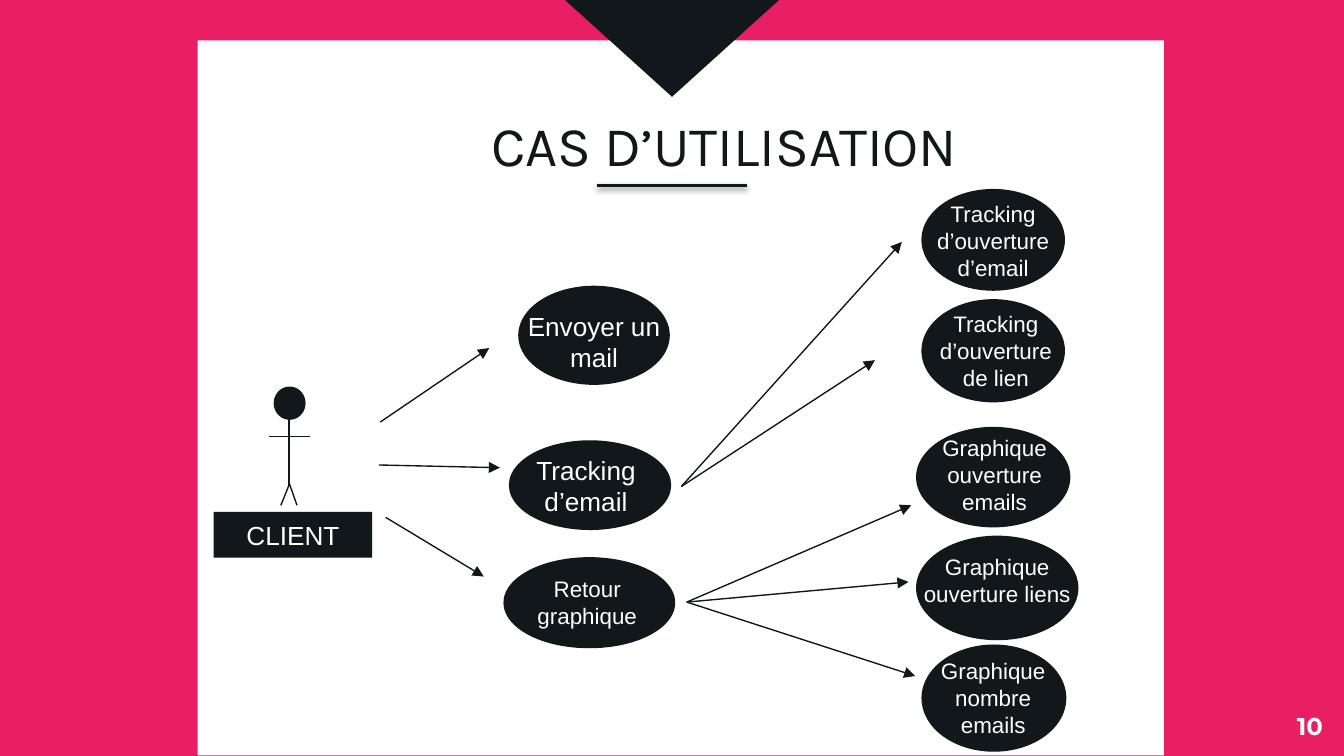
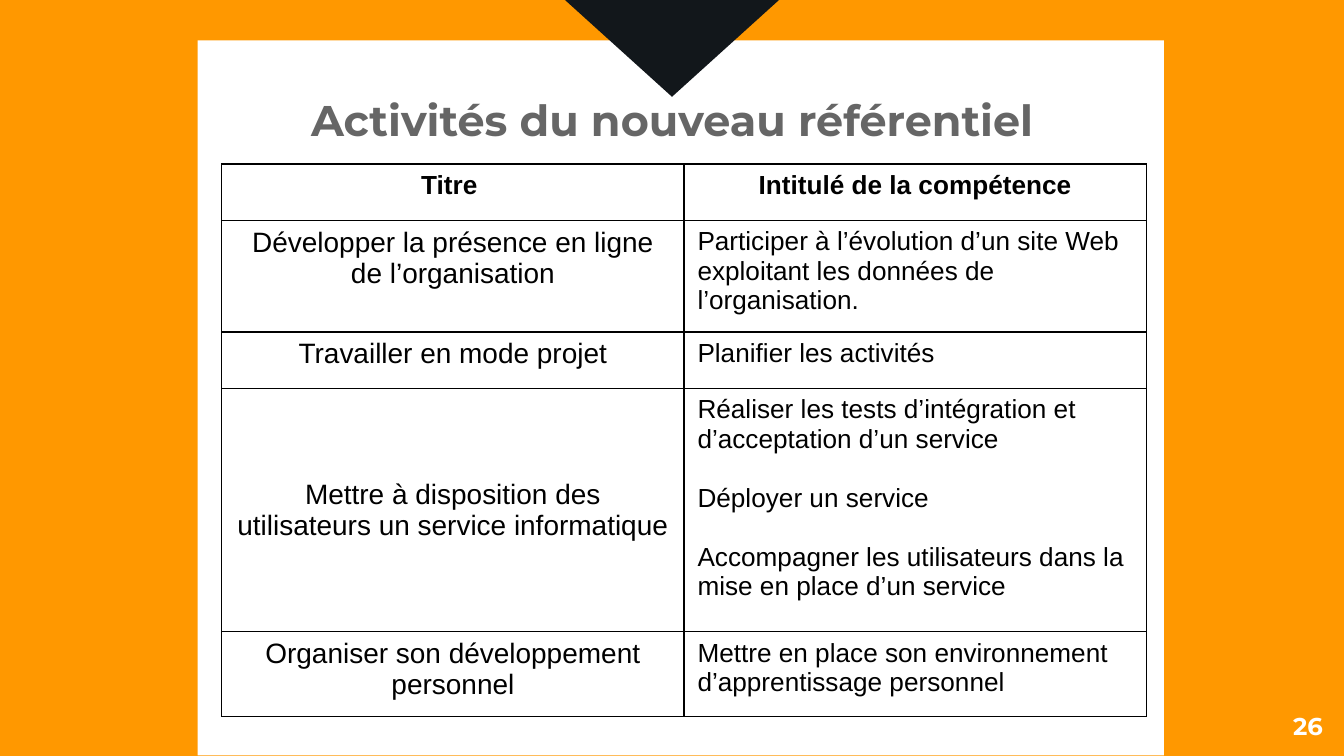
from dataclasses import dataclass

from lxml import etree
from pptx import Presentation
from pptx.dml.color import RGBColor
from pptx.enum import shapes, text
from pptx.oxml import ns
from pptx.util import Inches, Pt


@dataclass(frozen=True)
class Theme:
    pink: str = "E91E63"
    orange: str = "FF9800"
    ink: str = "12171B"
    white: str = "FFFFFF"
    gray: str = "666666"
    black: str = "000000"
    body: str = "Arial"
    head: str = "Karla"
    bold: str = "Montserrat"
    small: int = 12
    page: int = 13
    mid: int = 14
    large: int = 15
    title: int = 23
    hero: int = 30
    thin: float = 0.75
    thick: float = 2


@dataclass(frozen=True)
class Box:
    x: float
    y: float
    w: float
    h: float

    def sub(self, x, y, w, h):
        return Box(self.x + x, self.y + y, w, h)

    def spot(self, x, y):
        return Inches(self.x + x), Inches(self.y + y)

    def emu(self):
        return [Inches(v) for v in (self.x, self.y, self.w, self.h)]


T = Theme()
MID, LEFT, RIGHT = text.PP_ALIGN.CENTER, text.PP_ALIGN.LEFT, text.PP_ALIGN.RIGHT
SHAPE = shapes.MSO_SHAPE

GOALS = [
    ("Envoyer un mail", T.mid, (0.23, 0, 1.1, 0.71), (0.07, 0.12, 1.42, 0.57)),
    ("Tracking d’email", T.mid, (0.16, 1.15, 1.18, 0.64), (0.01, 1.19, 1.42, 0.57)),
    ("Retour graphique", T.small, (0.12, 2.02, 1.25, 0.65), (0, 2.09, 1.46, 0.5)),
]
TASKS = [
    ("Tracking d’ouverture d’email", T.small, (0.16, 0, 1.04, 0.73), (0, 0.02, 1.36, 0.71)),
    ("Tracking d’ouverture de lien", T.small, (0.16, 0.82, 1.04, 0.74), (0.1, 0.84, 1.2, 0.72)),
    ("Graphique ouverture emails", T.small, (0.12, 1.77, 1.12, 0.72), (0.03, 1.76, 1.32, 0.71)),
    ("Graphique ouverture liens", T.small, (0.12, 2.58, 1.18, 0.75), (0.05, 2.65, 1.32, 0.5)),
    ("Graphique nombre emails", T.small, (0.16, 3.39, 1.05, 0.77), (0.06, 3.42, 1.24, 0.71)),
]
LINKS = [
    ((0.03, 1.34), [(0.84, 0.79)]),
    ((0.02, 1.66), [(0.92, 1.68)]),
    ((0.07, 2.05), [(0.8, 2.49)]),
    ((2.27, 1.82), [(3.91, 0), (3.71, 0.88)]),
    ((2.31, 2.68), [(3.98, 1.96), (3.96, 2.53), (4.01, 3.23)]),
]
LIMBS = [
    ((0.56, 0.22), (0.56, 0.73)),
    ((0.41, 0.36), (0.72, 0.36)),
    ((0.56, 0.7), (0.62, 0.87)),
    ((0.56, 0.72), (0.5, 0.87)),
]
ROWS = [
    (0.42, "Titre ", ["Intitulé de la compétence"]),
    (0.83, "Développer la présence en ligne de l’organisation",
     ["Participer à l’évolution d’un site Web exploitant les données de l’organisation."]),
    (0.42, "Travailler en mode projet", ["Planifier les activités"]),
    (1.81, "Mettre à disposition des utilisateurs un service informatique",
     ["Réaliser les tests d’intégration et d’acceptation d’un service",
      "Déployer un service",
      "Accompagner les utilisateurs dans la mise en place d’un service"]),
    (0.63, "Organiser son développement personnel",
     ["Mettre en place son environnement d’apprentissage personnel"]),
]


def rgb(tone):
    return RGBColor.from_string(tone)


def node(root, tag, **attrs):
    return etree.SubElement(root, ns.qn(tag), {k: str(v) for k, v in attrs.items()})


def write(frame, lines, size, tone, font=T.body, bold=False, align=MID, gap=0):
    frame.text = "\n".join(lines)
    for i, para in enumerate(frame.paragraphs):
        para.alignment = align
        if i and gap:
            para.space_before = Pt(gap)
        for run in para.runs:
            run.font.name = font
            run.font.size = Pt(size)
            run.font.bold = bold
            run.font.color.rgb = rgb(tone)


def label(slide, box, words, size, tone, pad=None, **style):
    frame = slide.shapes.add_textbox(*box.emu()).text_frame
    frame.word_wrap = True
    if pad is not None:
        frame.margin_left = frame.margin_right = Inches(pad)
        frame.margin_top = frame.margin_bottom = Inches(pad)
    write(frame, [words], size, tone, **style)
    return frame


def block(slide, kind, box, tone, edge=0):
    shape = slide.shapes.add_shape(kind, *box.emu())
    shape.shadow.inherit = False
    shape.fill.solid()
    shape.fill.fore_color.rgb = rgb(tone)
    if edge:
        shape.line.color.rgb = rgb(tone)
        shape.line.width = Pt(edge)
    else:
        shape.line.fill.background()
    return shape


def stroke(slide, box, start, end, width=T.thin, arrow=False, shade=False):
    line = slide.shapes.add_connector(
        shapes.MSO_CONNECTOR.STRAIGHT, *box.spot(*start), *box.spot(*end))
    line.line.color.rgb = rgb(T.ink)
    line.line.width = Pt(width)
    if arrow:
        node(line.line._get_or_add_ln(), "a:tailEnd", type="triangle")
    effect = node(line._element.spPr, "a:effectLst")
    if shade:
        drop = node(effect, "a:outerShdw", blurRad=Pt(3.1), dist=Pt(1.6), dir=5400000)
        node(node(drop, "a:srgbClr", val=T.black), "a:alpha", val=38000)


def base(deck, tone, number):
    slide = deck.slides.add_slide(deck.slide_layouts[6])
    slide.background.fill.solid()
    slide.background.fill.fore_color.rgb = rgb(tone)
    block(slide, SHAPE.RECTANGLE, Box(1.47, 0.3, 7.19, 5.32), T.white)
    block(slide, SHAPE.ISOSCELES_TRIANGLE, Box(3.43, -0.7, 3.14, 1.42), T.ink).rotation = 180
    label(slide, Box(9.34, 5.19, 0.6, 0.43), number, T.page, T.white,
          pad=0.1, font=T.bold, bold=True, align=RIGHT)
    return slide


def actor(slide, box):
    block(slide, SHAPE.OVAL, box.sub(0.46, 0, 0.21, 0.22), T.ink, T.thick)
    for start, end in LIMBS:
        stroke(slide, box, start, end)
    plate = block(slide, SHAPE.RECTANGLE, box.sub(0, box.h - 0.34, box.w, 0.34), T.ink)
    write(plate.text_frame, ["CLIENT"], T.mid, T.white)


def cases(slide, box, items):
    for words, size, oval, area in items:
        block(slide, SHAPE.OVAL, box.sub(*oval), T.ink, T.thick)
        label(slide, box.sub(*area), words, size, T.white)


def links(slide, box):
    for start, ends in LINKS:
        for end in ends:
            stroke(slide, box, start, end, arrow=True)


def banner(slide, box):
    label(slide, box, "CAS D’UTILISATION", T.hero, T.ink, pad=0.1, font=T.head)
    stroke(slide, box, (2.45, 0.66), (3.57, 0.66), T.thick, shade=True)


def border(cell):
    props = cell._tc.get_or_add_tcPr()
    for i, side in enumerate(("a:lnL", "a:lnR", "a:lnT", "a:lnB")):
        line = etree.Element(ns.qn(side), w=str(Pt(T.thin)))
        node(node(line, "a:solidFill"), "a:srgbClr", val=T.black)
        props.insert(i, line)


def grid(slide, box):
    table = slide.shapes.add_table(len(ROWS), 2, *box.emu()).table
    table.first_row = table.horz_banding = False
    for col in table.columns:
        col.width = Inches(box.w / 2)
    for r, (high, name, skills) in enumerate(ROWS):
        table.rows[r].height = Inches(high)
        left, right = table.cell(r, 0), table.cell(r, 1)
        for cell in (left, right):
            cell.fill.background()
            border(cell)
        top = r == 0
        write(left.text_frame, [name], T.mid if top else T.large, T.black, bold=top)
        write(right.text_frame, skills, T.mid, T.black, bold=top,
              align=MID if top else LEFT, gap=16)
        if len(skills) > 1:
            left.vertical_anchor = text.MSO_ANCHOR.MIDDLE


def usage(deck):
    slide = base(deck, T.pink, "10")
    banner(slide, Box(1.99, 0.72, 6.8, 0.64))
    actor(slide, Box(1.59, 2.89, 1.18, 1.26))
    cases(slide, Box(3.64, 2.14, 1.5, 2.67), GOALS)
    cases(slide, Box(6.71, 1.42, 1.37, 4.16), TASKS)
    links(slide, Box(2.8, 1.8, 4.01, 3.23))


def skills(deck):
    slide = base(deck, T.orange, "26")
    frame = label(slide, Box(1.85, 0.64, 6.31, 0.58), "Activités du nouveau référentiel",
                  T.title, T.gray, pad=0.1, font=T.bold, bold=True)
    frame.paragraphs[0].line_spacing = 0.9
    grid(slide, Box(1.65, 1.22, 6.88, 4.11))


def main():
    deck = Presentation()
    deck.slide_width = Inches(10)
    deck.slide_height = Inches(10 * 9 / 16)
    usage(deck)
    skills(deck)
    deck.save("out.pptx")


if __name__ == "__main__":
    main()
